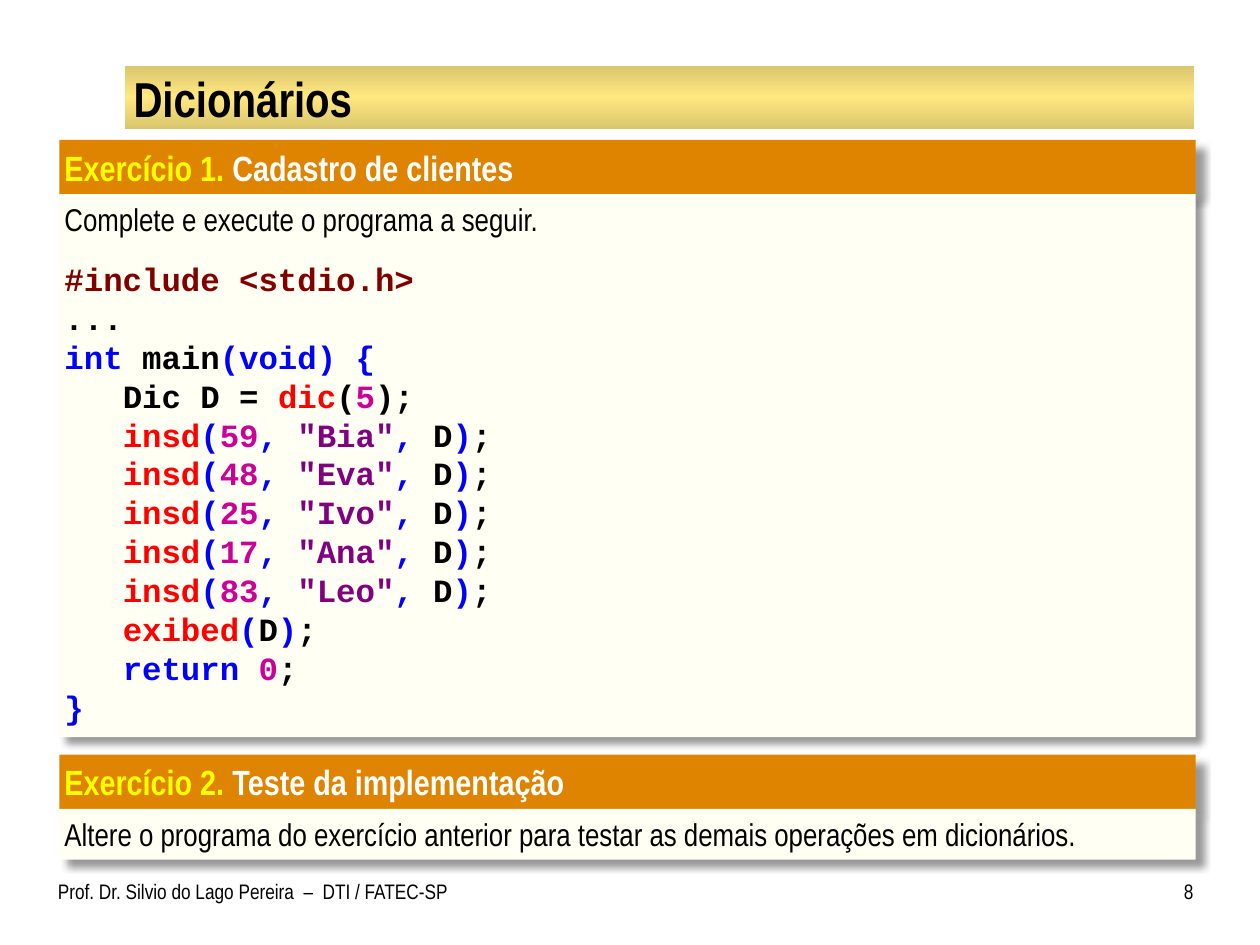
import dataclasses
import typing

import lxml.etree
import pptx
import pptx.dml.color
import pptx.enum.shapes
import pptx.enum.text
import pptx.oxml
import pptx.oxml.ns
import pptx.util

Pt = pptx.util.Pt
ALIGN = pptx.enum.text.PP_ALIGN
ANCHOR = pptx.enum.text.MSO_ANCHOR

COLORS = {
    "black": "000000", "white": "FFFFFF", "yellow": "FFFF00",
    "header": "DE8400", "panel": "FFFFF3",
    "gold": "DAC66E", "light_gold": "FFE781",
    "directive": "800000", "keyword": "0000FF", "function": "FF0000",
    "number": "CC0099", "string": "800080",
}
NARROW, MONO = "Arial Narrow", "Courier New"
CODE_SIZE = 18.5
CODE_INDENT = 3 * 0.6 * CODE_SIZE
PANEL_LEFT, PANEL_WIDTH = 34, 649.3
HEADER_HEIGHT = 31.3


class Run(typing.NamedTuple):
    text: str
    color: str = "black"


@dataclasses.dataclass
class Line:
    runs: list[Run]
    size: float = 18
    font: str = NARROW
    bold: bool = False
    align: ALIGN = ALIGN.LEFT
    before: float = 0
    indent: float = 0


@dataclasses.dataclass
class Exercise:
    label: str
    subject: str
    top: float
    body_height: float
    lines: list[Line]


def rgb(name: str) -> pptx.dml.color.RGBColor:
    return pptx.dml.color.RGBColor.from_string(COLORS[name])


def write(frame, lines: list[Line], insets: tuple, anchor=ANCHOR.TOP) -> None:
    frame.word_wrap = True
    frame.auto_size = pptx.enum.text.MSO_AUTO_SIZE.NONE
    frame.vertical_anchor = anchor
    frame.margin_left, frame.margin_top, frame.margin_right, frame.margin_bottom = map(Pt, insets)
    for index, line in enumerate(lines):
        paragraph = frame.add_paragraph() if index else frame.paragraphs[0]
        paragraph.alignment = line.align
        paragraph.space_before = Pt(line.before)
        paragraph.font.name = line.font
        paragraph.font.size = Pt(line.size)
        paragraph.font.bold = line.bold
        if line.indent:
            properties = paragraph._p.get_or_add_pPr()
            properties.set("marL", str(Pt(line.indent)))
            properties.set("indent", "0")
        for part in line.runs:
            run = paragraph.add_run()
            run.text = part.text
            run.font.color.rgb = rgb(part.color)


def add_box(slide, left: float, top: float, width: float, height: float):
    box = slide.shapes.add_shape(
        pptx.enum.shapes.MSO_SHAPE.RECTANGLE, Pt(left), Pt(top), Pt(width), Pt(height))
    box.shadow.inherit = False
    box.line.fill.background()
    return box


def add_panel(slide, top: float, height: float, fill: str, lines: list[Line],
              right_inset: float) -> None:
    panel = add_box(slide, PANEL_LEFT, top, PANEL_WIDTH, height)
    panel.fill.solid()
    panel.fill.fore_color.rgb = rgb(fill)
    effects = panel.element.spPr.find(pptx.oxml.ns.qn("a:effectLst"))
    effects.append(pptx.oxml.parse_xml(
        f'<a:outerShdw {pptx.oxml.ns.nsdecls("a")} blurRad="{Pt(4)}" dist="{Pt(6)}" '
        f'dir="2700000" algn="tl" rotWithShape="0"><a:srgbClr val="{COLORS["black"]}">'
        '<a:alpha val="40000"/></a:srgbClr></a:outerShdw>'))
    write(panel.text_frame, lines, (2.9, 3.6, right_inset, 3.6))


def add_exercise(slide, exercise: Exercise) -> None:
    heading = Line([Run(exercise.label, "yellow"), Run(f" {exercise.subject}", "white")],
                   size=20, bold=True)
    add_panel(slide, exercise.top, HEADER_HEIGHT, "header", [heading], 7.2)
    add_panel(slide, exercise.top + HEADER_HEIGHT - 0.4, exercise.body_height, "panel",
              exercise.lines, 2.9)


def add_title(slide) -> None:
    title = slide.shapes.title
    title.left, title.top, title.width, title.height = Pt(72), Pt(38.9), Pt(609.8), Pt(33.8)
    write(title.text_frame, [Line([Run("Dicionários")], size=28, bold=True)],
          (4.3, 0.7, 4.3, 0.7), ANCHOR.MIDDLE)
    band = add_box(slide, 71.3, 37.5, 611.3, 36)
    band.fill.gradient()
    band.fill.gradient_angle = 90
    stops = band.element.spPr.find(".//" + pptx.oxml.ns.qn("a:gsLst"))
    for stop in list(stops):
        stops.remove(stop)
    for position, color in ((0, "gold"), (50000, "light_gold"), (100000, "gold")):
        stop = lxml.etree.SubElement(stops, pptx.oxml.ns.qn("a:gs"), pos=str(position))
        lxml.etree.SubElement(stop, pptx.oxml.ns.qn("a:srgbClr"), val=COLORS[color])
    title.element.addprevious(band.element)


def add_footer(slide, left: float, width: float, text: str, align: ALIGN, insets: tuple) -> None:
    box = slide.shapes.add_textbox(Pt(left), Pt(498.2), Pt(width), Pt(30.2))
    write(box.text_frame, [Line([Run(text)], size=12, align=align)], insets)


def code(*runs: Run, indent: float = 0, before: float = 0) -> Line:
    return Line(list(runs), CODE_SIZE, MONO, True, indent=indent, before=before)


def statement(*runs: Run) -> Line:
    return code(*runs, Run(";"), indent=CODE_INDENT)


def insertion(key: int, name: str) -> Line:
    return statement(
        Run("insd", "function"), Run("(", "keyword"), Run(str(key), "number"),
        Run(", ", "keyword"), Run(f'"{name}"', "string"), Run(",", "keyword"),
        Run(" D"), Run(")", "keyword"))


def instruction(text: str) -> Line:
    return Line([Run(text)], align=ALIGN.JUSTIFY, before=6)


CLIENTS = {59: "Bia", 48: "Eva", 25: "Ivo", 17: "Ana", 83: "Leo"}
PROGRAM = [
    code(Run("#include <stdio.h>", "directive"), before=12),
    code(Run("...")),
    code(Run("int", "keyword"), Run(" main"), Run("(void) {", "keyword")),
    statement(Run("Dic D = "), Run("dic", "function"), Run("("), Run("5", "number"), Run(")")),
    *(insertion(key, name) for key, name in CLIENTS.items()),
    statement(Run("exibed", "function"), Run("(", "keyword"), Run("D"), Run(")", "keyword")),
    statement(Run("return ", "keyword"), Run("0", "number")),
    code(Run("}", "keyword")),
]
EXERCISES = [
    Exercise("Exercício 2.", "Teste da implementação", 431.3, 29, [instruction(
        "Altere o programa do exercício anterior para testar as demais operações em dicionários.")]),
    Exercise("Exercício 1.", "Cadastro de clientes", 80, 310.3,
             [instruction("Complete e execute o programa a seguir."), *PROGRAM]),
]


def main() -> None:
    deck = pptx.Presentation()
    deck.slide_width, deck.slide_height = Pt(720), Pt(540)
    slide = deck.slides.add_slide(deck.slide_layouts[5])
    add_title(slide)
    for exercise in EXERCISES:
        add_exercise(slide, exercise)
    add_footer(slide, 33.1, 235.4, "Prof. Dr. Silvio do Lago Pereira  –  DTI / FATEC-SP",
               ALIGN.LEFT, (0, 3.6, 7.2, 3.6))
    add_footer(slide, 653.8, 28.1, "8", ALIGN.RIGHT, (7.2, 3.6, 0, 3.6))
    deck.save("out.pptx")


if __name__ == "__main__":
    main()
